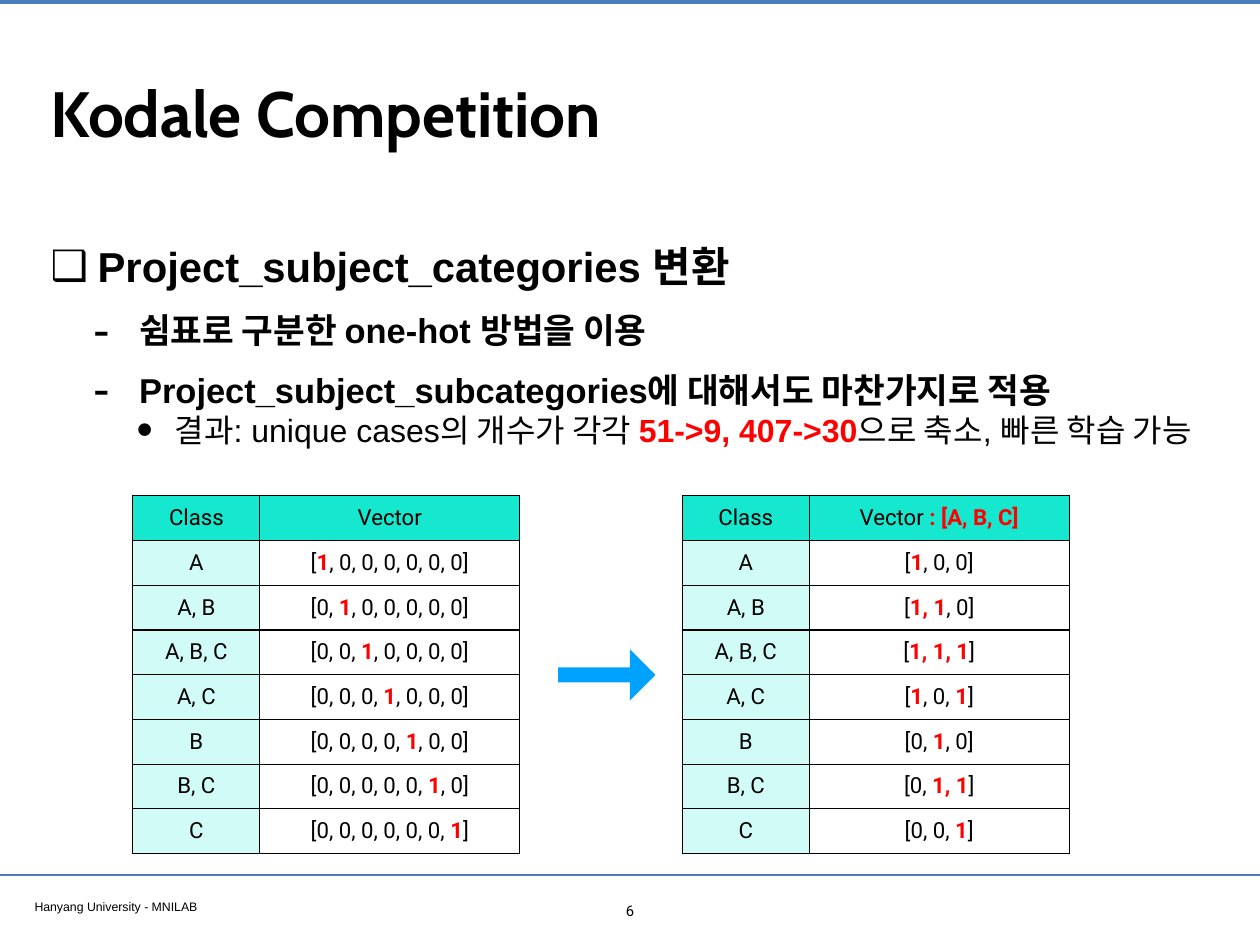
from lxml import etree
from pptx import Presentation
from pptx import util as u
from pptx.dml import color
from pptx.enum import shapes, text
from pptx.oxml import ns, parse_xml

BLACK, RED, BLUE = "000000", "FF0000", "4A7EBB"
CLASSES = ["A", "A, B", "A, B, C", "A, C", "B", "B, C", "C"]


def rgb(value):
    return color.RGBColor.from_string(value)


def style_run(run, font, size, value=BLACK, bold=False):
    run.font.name = font
    run.font.size = u.Pt(size)
    run.font.color.rgb = rgb(value)
    run.font.bold = bold


def write_marked(paragraph, marked, font, size, bold=False):
    for index, part in enumerate(marked.split("*")):
        if part:
            run = paragraph.add_run()
            run.text = part
            highlighted = index % 2 == 1
            style_run(run, font, size, RED if highlighted else BLACK, bold or highlighted)


def prepare_frame(frame):
    frame.word_wrap = True
    frame.auto_size = text.MSO_AUTO_SIZE.NONE
    frame.margin_left = frame.margin_right = u.Cm(0.15)
    frame.margin_top = frame.margin_bottom = u.Cm(0.15)


def add_text_frame(slide, box):
    frame = slide.shapes.add_textbox(*map(u.Cm, box)).text_frame
    prepare_frame(frame)
    return frame


def add_rule(slide, left, top, width, weight):
    rule = slide.shapes.add_connector(
        shapes.MSO_CONNECTOR.STRAIGHT, u.Cm(left), u.Cm(top), u.Cm(left + width), u.Cm(top)
    )
    rule.line.color.rgb = rgb(BLUE)
    rule.line.width = u.Pt(weight)
    etree.SubElement(rule._element.spPr, ns.qn("a:effectLst"))


def add_header(slide, box):
    left, top, width, height = box
    add_rule(slide, left, top + 0.05, width, 3.2)
    title = slide.shapes.title
    title.left, title.top = u.Cm(left + 1.3), u.Cm(top + 0.71)
    title.width, title.height = u.Cm(width - 2.57), u.Cm(height - 0.71)
    frame = title.text_frame
    prepare_frame(frame)
    frame.vertical_anchor = text.MSO_ANCHOR.MIDDLE
    frame.text = "Kodale Competition"
    paragraph = frame.paragraphs[0]
    paragraph.alignment = text.PP_ALIGN.LEFT
    style_run(paragraph.runs[0], "Cabin", 52, bold=True)


def set_bullet(paragraph, character, percent, margin, hanging):
    properties = paragraph._p.get_or_add_pPr()
    properties.set("marL", str(u.Cm(margin)))
    properties.set("indent", str(-u.Cm(hanging)))
    size = etree.SubElement(properties, ns.qn("a:buSzPct"))
    size.set("val", str(percent * 1000))
    font = etree.SubElement(properties, ns.qn("a:buFont"))
    font.set("typeface", "Arial")
    bullet = etree.SubElement(properties, ns.qn("a:buChar"))
    bullet.set("char", character)


def add_outline(slide, box):
    levels = [
        ("❑", 100, 1.35, 1.35, 34, True),
        ("-", 145, 2.54, 1.32, 28, True),
        ("•", 145, 3.56, 1.09, 26, False),
    ]
    items = [
        (0, "Project_subject_categories 변환"),
        (1, "쉼표로 구분한 one-hot 방법을 이용"),
        (1, "Project_subject_subcategories에 대해서도 마찬가지로 적용"),
        (2, "결과: unique cases의 개수가 각각 *51->9, 407->30*으로 축소, 빠른 학습 가능"),
    ]
    frame = add_text_frame(slide, box)
    for index, (level, marked) in enumerate(items):
        paragraph = frame.paragraphs[0] if index == 0 else frame.add_paragraph()
        character, percent, margin, hanging, size, bold = levels[level]
        paragraph.level = level
        set_bullet(paragraph, character, percent, margin, hanging)
        if level < 2:
            paragraph.line_spacing = 1.2
            paragraph.space_before = u.Pt(8 if index else 0)
        write_marked(paragraph, marked, "Arial", size, bold)


def format_vector(flags):
    values = ", ".join("*1*" if flag else "0" for flag in flags)
    return "[" + values.replace("*, *", ", ") + "]"


def add_borders(cell):
    properties = cell._tc.get_or_add_tcPr()
    for index, side in enumerate(("lnL", "lnR", "lnT", "lnB")):
        border = parse_xml(
            f'<a:{side} {ns.nsdecls("a")} w="{u.Pt(1)}"><a:solidFill>'
            f'<a:srgbClr val="{BLACK}"/></a:solidFill></a:{side}>'
        )
        properties.insert(index, border)


def add_vector_table(slide, box, heading, vectors):
    rows = [("Class", heading), *zip(CLASSES, vectors)]
    table = slide.shapes.add_table(len(rows), 2, *map(u.Cm, box)).table
    table.columns[0].width = u.Cm(3.64)
    table.columns[1].width = u.Cm(box[2] - 3.64)
    for row_index, row in enumerate(rows):
        table.rows[row_index].height = u.Cm(box[3] / len(rows))
        fills = ("D0FBF6", "FFFFFF") if row_index else ("16E7CF", "16E7CF")
        for column_index, marked in enumerate(row):
            cell = table.cell(row_index, column_index)
            cell.fill.solid()
            cell.fill.fore_color.rgb = rgb(fills[column_index])
            cell.vertical_anchor = text.MSO_ANCHOR.MIDDLE
            add_borders(cell)
            paragraph = cell.text_frame.paragraphs[0]
            paragraph.alignment = text.PP_ALIGN.CENTER
            write_marked(paragraph, marked, "Roboto", 18)


def add_comparison(slide, box):
    left, top, width, height = box
    table_width = 11.09
    one_hot = [format_vector(row == column for column in range(len(CLASSES)))
               for row in range(len(CLASSES))]
    multi_hot = [format_vector(letter in name for letter in "ABC") for name in CLASSES]
    add_vector_table(slide, (left, top, table_width, height), "Vector", one_hot)
    arrow = slide.shapes.add_shape(
        shapes.MSO_SHAPE.RIGHT_ARROW,
        u.Cm(left + 12.19), u.Cm(top + 4.4), u.Cm(2.79), u.Cm(1.47),
    )
    arrow.shadow.inherit = False
    arrow.adjustments[0] = 0.29
    arrow.adjustments[1] = 0.5
    arrow.fill.solid()
    arrow.fill.fore_color.rgb = rgb("00A2FF")
    arrow.line.fill.background()
    right_box = (left + width - table_width, top, table_width, height)
    add_vector_table(slide, right_box, "Vector *: [A, B, C]*", multi_hot)


def add_footer(slide, box):
    left, top, width, height = box
    add_rule(slide, left, top, width, 2)
    laboratory = add_text_frame(slide, (left + 0.84, top + 0.53, 13.87, 0.66))
    write_marked(laboratory.paragraphs[0], "Hanyang University - MNILAB", "Arial", 10)
    number = add_text_frame(slide, (left + width / 2 - 0.5, top + 0.6, 1, 0.79))
    number.paragraphs[0].alignment = text.PP_ALIGN.CENTER
    write_marked(number.paragraphs[0], "6", "Roboto", 12)


def main():
    presentation = Presentation()
    presentation.slide_width = u.Cm(36.12)
    presentation.slide_height = u.Cm(27.1)
    slide = presentation.slides.add_slide(presentation.slide_layouts[5])
    add_header(slide, (0, 0, 36.12, 5.71))
    add_outline(slide, (1.3, 6.48, 34.82, 7.37))
    add_comparison(slide, (3.81, 14.22, 26.84, 10.26))
    add_footer(slide, (0, 25.1, 36.12, 2))
    presentation.save("out.pptx")


if __name__ == "__main__":
    main()
